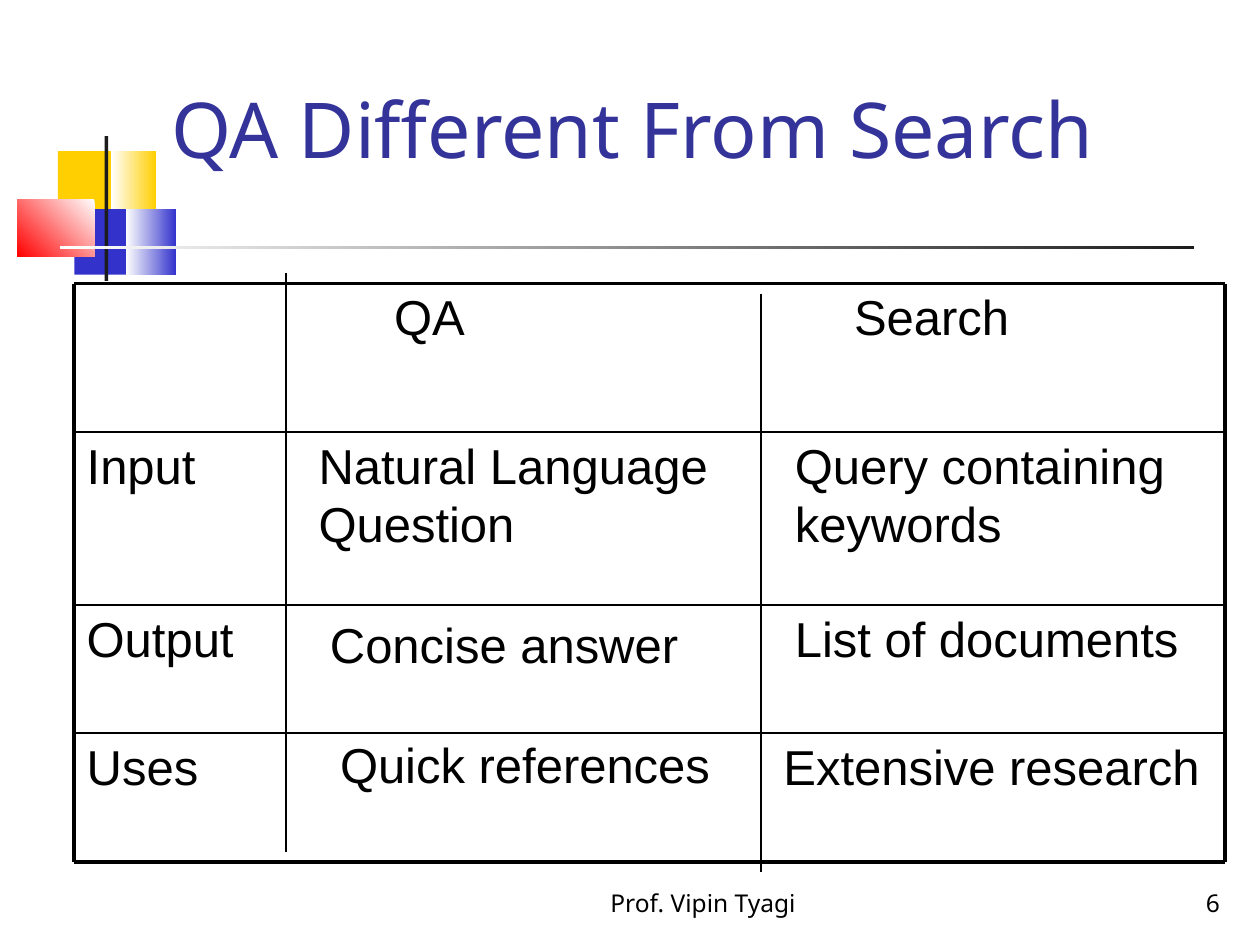
from dataclasses import dataclass, field
from typing import Optional

import pptx
import pptx.dml.color
import pptx.enum.shapes
import pptx.enum.text
import pptx.oxml
import pptx.oxml.ns
import pptx.util

Inches = pptx.util.Inches
Pt = pptx.util.Pt
ALIGN = pptx.enum.text.PP_ALIGN
ANCHOR = pptx.enum.text.MSO_ANCHOR

COLORS = {
    "yellow": "FFCF01",
    "blue": "3333CC",
    "red": "FF0000",
    "white": "FFFFFF",
    "charcoal": "1C1C1C",
    "title": "333399",
    "black": "000000",
}


@dataclass
class Block:
    left: float
    top: float
    width: float
    height: float
    color: str
    end_color: Optional[str] = None
    angle: int = 180  # counter-clockwise degrees


@dataclass
class Label:
    text: str
    left: float
    top: float
    width: float
    height: float
    size: int = 28
    font: str = "Arial"
    color: str = "black"
    anchor: ANCHOR = ANCHOR.TOP
    para: dict = field(default_factory=lambda: {"line_spacing": 0.98, "space_before": Pt(7)})


@dataclass
class Rule:
    x1: float
    y1: float
    x2: float
    y2: float
    weight: float = 1


BLOCKS = [
    Block(0.46, 1.2, 0.48, 0.52, "yellow"),
    Block(0.88, 1.2, 0.36, 0.52, "yellow", "white"),
    Block(0.59, 1.66, 0.46, 0.52, "blue"),
    Block(1, 1.66, 0.4, 0.52, "blue", "white"),
    Block(0.14, 1.58, 0.61, 0.46, "white", "red", 225),
    Block(0.83, 1.08, 0.03, 1.15, "charcoal"),
    Block(0.48, 1.95, 9, 0.03, "charcoal", "white"),
]

TITLE = Label("QA Different From Search", 1.26, 0.4, 8.53, 1.28, 44, "Noto Sans", "title",
              ANCHOR.MIDDLE, {"line_spacing": 0.98})
FOOTERS = [
    Label("6", 7.7, 6.83, 2.08, 0.5, 14, "Noto Sans", "black", ANCHOR.BOTTOM,
          {"alignment": ALIGN.RIGHT}),
    Label("Prof. Vipin Tyagi", 4, 6.83, 3.16, 0.5, 14, "Noto Sans", "black", ANCHOR.BOTTOM,
          {"alignment": ALIGN.CENTER}),
]

# Row edges of the comparison grid, and its outer left and right edges
ROWS = [2.25, 3.43, 4.8, 5.82, 6.84]
LEFT, RIGHT = 0.59, 9.72
HEAD_WIDTH, QA_WIDTH = 2.44, 3.65
FRAME_WEIGHT = 2.25

# Per row: heading, then (text, left, shift down) for QA and (text, left) for search
COMPARISON = [
    ("", ("QA", 3.03, 0), ("Search", 6.68)),
    ("Input", ("Natural Language Question", 2.43, 0), ("Query containing keywords", 6.21)),
    ("Output", ("Concise answer", 2.52, 0.05), ("List of documents", 6.21)),
    ("Uses", ("Quick references", 2.6, -0.02), ("Extensive research", 6.12)),
]


def rgb(name: str) -> pptx.dml.color.RGBColor:
    return pptx.dml.color.RGBColor.from_string(COLORS[name])


def draw_block(slide, block: Block) -> None:
    sp = slide.shapes.add_shape(
        pptx.enum.shapes.MSO_SHAPE.RECTANGLE, Inches(block.left), Inches(block.top),
        Inches(block.width), Inches(block.height))
    sp.shadow.inherit = False
    sp.line.fill.background()
    if block.end_color is None:
        sp.fill.solid()
        sp.fill.fore_color.rgb = rgb(block.color)
        return
    sp.fill.gradient()
    sp.fill.gradient_angle = block.angle
    for stop, color in zip(sp.fill.gradient_stops, (block.color, block.end_color)):
        stop.color.rgb = rgb(color)


def draw_label(slide, label: Label) -> None:
    sp = slide.shapes.add_textbox(Inches(label.left), Inches(label.top),
                                  Inches(label.width), Inches(label.height))
    tf = sp.text_frame
    tf.word_wrap = True
    tf.vertical_anchor = label.anchor
    p = tf.paragraphs[0]
    for name, value in label.para.items():
        setattr(p, name, value)
    r = p.add_run()
    r.text = label.text
    for name, value in {"size": Pt(label.size), "name": label.font}.items():
        setattr(r.font, name, value)
    r.font.color.rgb = rgb(label.color)


def draw_rule(slide, rule: Rule) -> None:
    line = slide.shapes.add_connector(
        pptx.enum.shapes.MSO_CONNECTOR.STRAIGHT, Inches(rule.x1), Inches(rule.y1),
        Inches(rule.x2), Inches(rule.y2))
    line.line.width = Pt(rule.weight)
    line.line.color.rgb = rgb("black")
    line._element.spPr.append(pptx.oxml.parse_xml(
        f"<a:effectLst {pptx.oxml.ns.nsdecls('a')}/>"))


def draw_comparison(slide) -> None:
    """Draw the cell texts, then the ruled grid over them."""
    for (heading, qa, search), top, bottom in zip(COMPARISON, ROWS, ROWS[1:]):
        height = bottom - top
        qa_text, qa_left, shift = qa
        search_text, search_left = search
        if heading:
            draw_label(slide, Label(heading, LEFT, top, HEAD_WIDTH, height))
        draw_label(slide, Label(qa_text, qa_left, top + shift, QA_WIDTH, height))
        draw_label(slide, Label(search_text, search_left, top, RIGHT - search_left, height))

    top, bottom = ROWS[0], ROWS[-1]
    for y in ROWS:
        weight = FRAME_WEIGHT if y in (top, bottom) else 1
        draw_rule(slide, Rule(LEFT, y, RIGHT, y, weight))
    for x in (LEFT, RIGHT):
        draw_rule(slide, Rule(x, top, x, bottom, FRAME_WEIGHT))
    for x, shift in ((2.27, -0.08), (6.04, 0.08)):
        draw_rule(slide, Rule(x, top + shift, x, bottom + shift))


def main() -> None:
    prs = pptx.Presentation()
    prs.slide_width, prs.slide_height = Inches(10), Inches(7.5)
    slide = prs.slides.add_slide(prs.slide_layouts[6])
    for block in BLOCKS:
        draw_block(slide, block)
    draw_label(slide, TITLE)
    draw_comparison(slide)
    for footer in FOOTERS:
        draw_label(slide, footer)
    prs.save("out.pptx")


if __name__ == "__main__":
    main()
